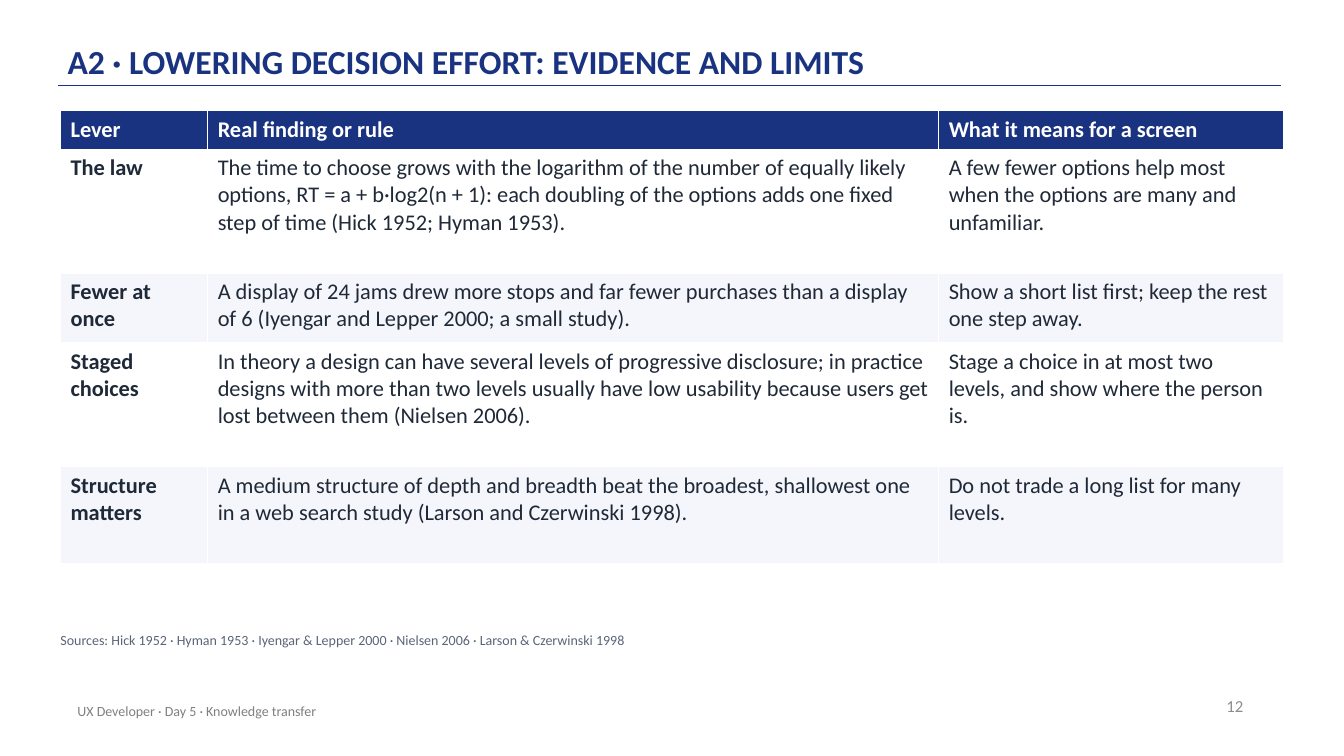
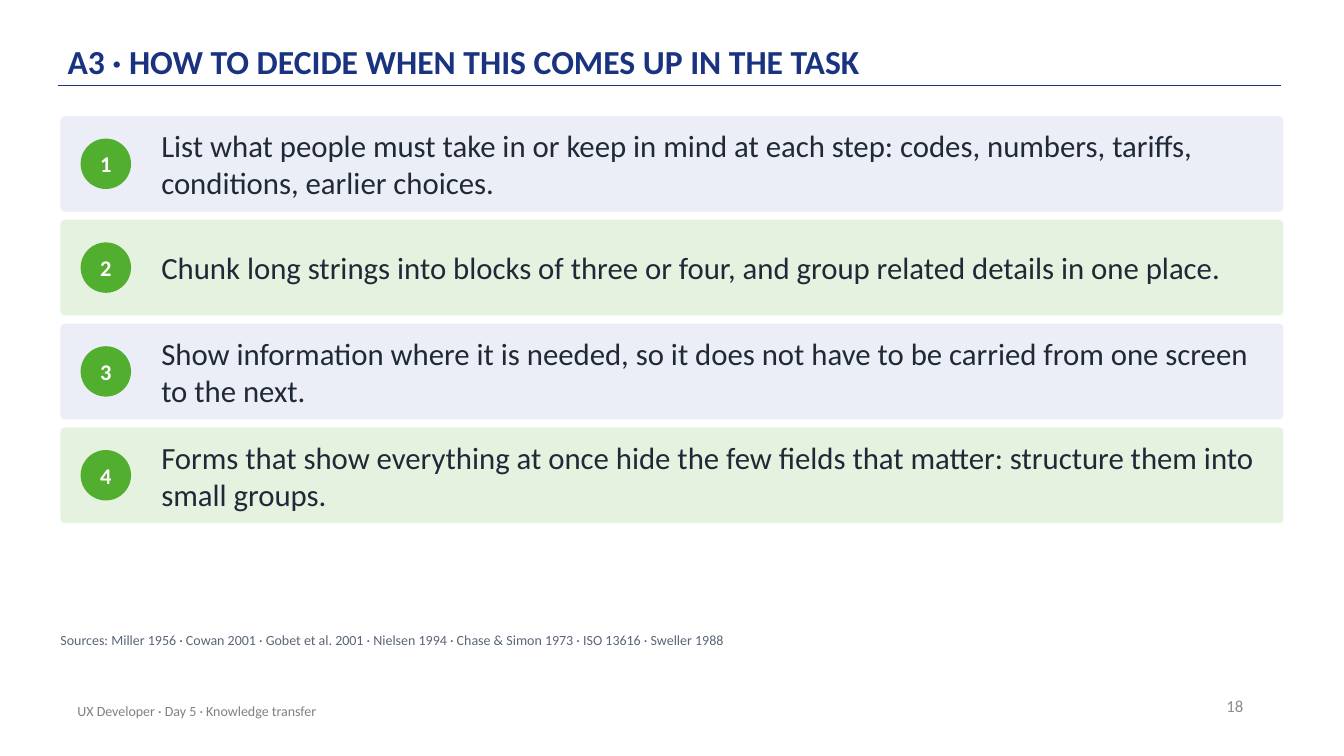
from dataclasses import dataclass

import lxml.etree
import pptx
import pptx.dml.color
import pptx.enum.shapes
import pptx.enum.text
import pptx.oxml.ns
import pptx.util

Inches = pptx.util.Inches
Anchor = pptx.enum.text.MSO_ANCHOR
Align = pptx.enum.text.PP_ALIGN
Shape = pptx.enum.shapes.MSO_SHAPE


@dataclass(frozen=True)
class Theme:
    font: str = "Calibri"
    # Colours
    navy: str = "1A3381"
    green: str = "51AE2F"
    white: str = "FFFFFF"
    ink: str = "1F2937"
    source: str = "5B6577"
    footer: str = "808080"
    number: str = "8C8C8C"
    row_fills: tuple = ("FFFFFF", "F4F6FB")
    step_fills: tuple = ("ECEEF7", "E5F2DF")
    # Type sizes in points
    title_size: int = 24
    step_size: int = 22
    body_size: int = 16
    number_size: int = 12
    small_size: int = 10


def rgb(colour):
    return pptx.dml.color.RGBColor.from_string(colour)


class Deck:
    left, width = 0.6, 12.13

    def __init__(self, theme):
        self.theme = theme
        self.presentation = pptx.Presentation()
        self.presentation.slide_width = Inches(13.33)
        self.presentation.slide_height = Inches(7.5)
        self.slide = None

    def set_text(self, frame, text, size, colour, bold=False, align=Align.LEFT):
        frame.word_wrap = True
        paragraph = frame.paragraphs[0]
        paragraph.text = text
        paragraph.alignment = align
        paragraph.font.name = self.theme.font
        paragraph.font.size = pptx.util.Pt(size)
        paragraph.font.bold = bold
        paragraph.font.color.rgb = rgb(colour)
        return paragraph

    def set_insets(self, frame, horizontal, vertical):
        frame.margin_left = frame.margin_right = Inches(horizontal)
        frame.margin_top = frame.margin_bottom = Inches(vertical)

    def text(self, box, text, size, colour, bold=False, align=Align.LEFT,
             anchor=Anchor.MIDDLE, insets=(0, 0)):
        shape = self.slide.shapes.add_textbox(*map(Inches, box))
        shape.text_frame.vertical_anchor = anchor
        self.set_insets(shape.text_frame, *insets)
        return self.set_text(shape.text_frame, text, size, colour, bold, align)

    def shape(self, kind, box, fill):
        shape = self.slide.shapes.add_shape(kind, *map(Inches, box))
        shape.shadow.inherit = False
        shape.fill.solid()
        shape.fill.fore_color.rgb = rgb(fill)
        shape.line.fill.background()
        return shape

    def rule(self, start, end, top):
        connector = self.slide.shapes.add_connector(
            pptx.enum.shapes.MSO_CONNECTOR.STRAIGHT,
            Inches(start), Inches(top), Inches(end), Inches(top))
        connector.line.color.rgb = rgb(self.theme.navy)
        connector.line.width = pptx.util.Pt(1)
        lxml.etree.SubElement(connector._element.spPr,
                              pptx.oxml.ns.qn("a:effectLst"))

    def new_slide(self, title, number, sources):
        theme = self.theme
        layout = self.presentation.slide_layouts[6]
        self.slide = self.presentation.slides.add_slide(layout)
        # Title and rule
        self.rule(0.58, 12.71, 0.85)
        heading = self.text((0.67, 0.12, 11, 0.72), title, theme.title_size,
                            theme.navy, bold=True, anchor=Anchor.BOTTOM,
                            insets=(0, 0.03))
        heading.line_spacing = 0.9
        # Footer and sources
        self.text((9.43, 6.8, 3, 0.4), str(number), theme.number_size,
                  theme.number, align=Align.RIGHT, insets=(0.1, 0.05))
        self.text((0.67, 6.85, 6.7, 0.4),
                  "UX Developer · Day 5 · Knowledge transfer",
                  theme.small_size, theme.footer, insets=(0.1, 0.05))
        self.text((self.left, 6.27, 12.1, 0.3), "Sources: " + " · ".join(sources),
                  theme.small_size, theme.source, anchor=Anchor.TOP)

    def table(self, top, column_widths, row_heights, rows):
        theme = self.theme
        table = self.slide.shapes.add_table(
            len(rows), len(column_widths), Inches(self.left), Inches(top),
            Inches(self.width), Inches(sum(row_heights))).table
        for column, width in zip(table.columns, column_widths):
            column.width = Inches(width)
        for row_index, (height, values) in enumerate(zip(row_heights, rows)):
            table.rows[row_index].height = Inches(height)
            header = row_index == 0
            fill = theme.navy if header else theme.row_fills[(row_index - 1) % 2]
            for column_index, value in enumerate(values):
                cell = table.cell(row_index, column_index)
                cell.fill.solid()
                cell.fill.fore_color.rgb = rgb(fill)
                self.set_text(cell.text_frame, value, theme.body_size,
                              theme.white if header else theme.ink,
                              bold=header or column_index == 0)

    def steps(self, top, height, gap, texts):
        theme = self.theme
        badge_size = 0.5
        for index, text in enumerate(texts):
            step_top = top + index * (height + gap)
            # Band
            band = self.shape(Shape.ROUNDED_RECTANGLE,
                              (self.left, step_top, self.width, height),
                              theme.step_fills[index % 2])
            band.adjustments[0] = 0.05
            # Numbered badge
            badge_top = step_top + (height - badge_size) / 2
            badge = self.shape(Shape.OVAL,
                               (self.left + 0.2, badge_top, badge_size, badge_size),
                               theme.green)
            self.set_insets(badge.text_frame, 0, 0)
            badge.text_frame.vertical_anchor = Anchor.MIDDLE
            self.set_text(badge.text_frame, str(index + 1), theme.body_size,
                          theme.white, bold=True, align=Align.CENTER)
            # Step text
            self.text((self.left + 1, step_top, self.width - 1.2, height), text,
                      theme.step_size, theme.ink)


def main():
    deck = Deck(Theme())

    # Evidence table
    deck.new_slide(
        "A2 · LOWERING DECISION EFFORT: EVIDENCE AND LIMITS", 12,
        ["Hick 1952", "Hyman 1953", "Iyengar & Lepper 2000", "Nielsen 2006",
         "Larson & Czerwinski 1998"])
    deck.table(1.1, [1.46, 7.25, 3.42], [0.38, 1.23, 0.69, 1.23, 0.96], [
        ("Lever", "Real finding or rule", "What it means for a screen"),
        ("The law",
         "The time to choose grows with the logarithm of the number of equally "
         "likely options, RT = a + b·log2(n + 1): each doubling of the options "
         "adds one fixed step of time (Hick 1952; Hyman 1953).",
         "A few fewer options help most when the options are many and unfamiliar."),
        ("Fewer at once",
         "A display of 24 jams drew more stops and far fewer purchases than a "
         "display of 6 (Iyengar and Lepper 2000; a small study).",
         "Show a short list first; keep the rest one step away."),
        ("Staged choices",
         "In theory a design can have several levels of progressive disclosure; "
         "in practice designs with more than two levels usually have low "
         "usability because users get lost between them (Nielsen 2006).",
         "Stage a choice in at most two levels, and show where the person is."),
        ("Structure matters",
         "A medium structure of depth and breadth beat the broadest, shallowest "
         "one in a web search study (Larson and Czerwinski 1998).",
         "Do not trade a long list for many levels."),
    ])

    # Decision steps
    deck.new_slide(
        "A3 · HOW TO DECIDE WHEN THIS COMES UP IN THE TASK", 18,
        ["Miller 1956", "Cowan 2001", "Gobet et al. 2001", "Nielsen 1994",
         "Chase & Simon 1973", "ISO 13616", "Sweller 1988"])
    deck.steps(1.15, 0.95, 0.08, [
        "List what people must take in or keep in mind at each step: codes, "
        "numbers, tariffs, conditions, earlier choices.",
        "Chunk long strings into blocks of three or four, and group related "
        "details in one place.",
        "Show information where it is needed, so it does not have to be carried "
        "from one screen to the next.",
        "Forms that show everything at once hide the few fields that matter: "
        "structure them into small groups.",
    ])

    deck.presentation.save("out.pptx")


if __name__ == "__main__":
    main()
